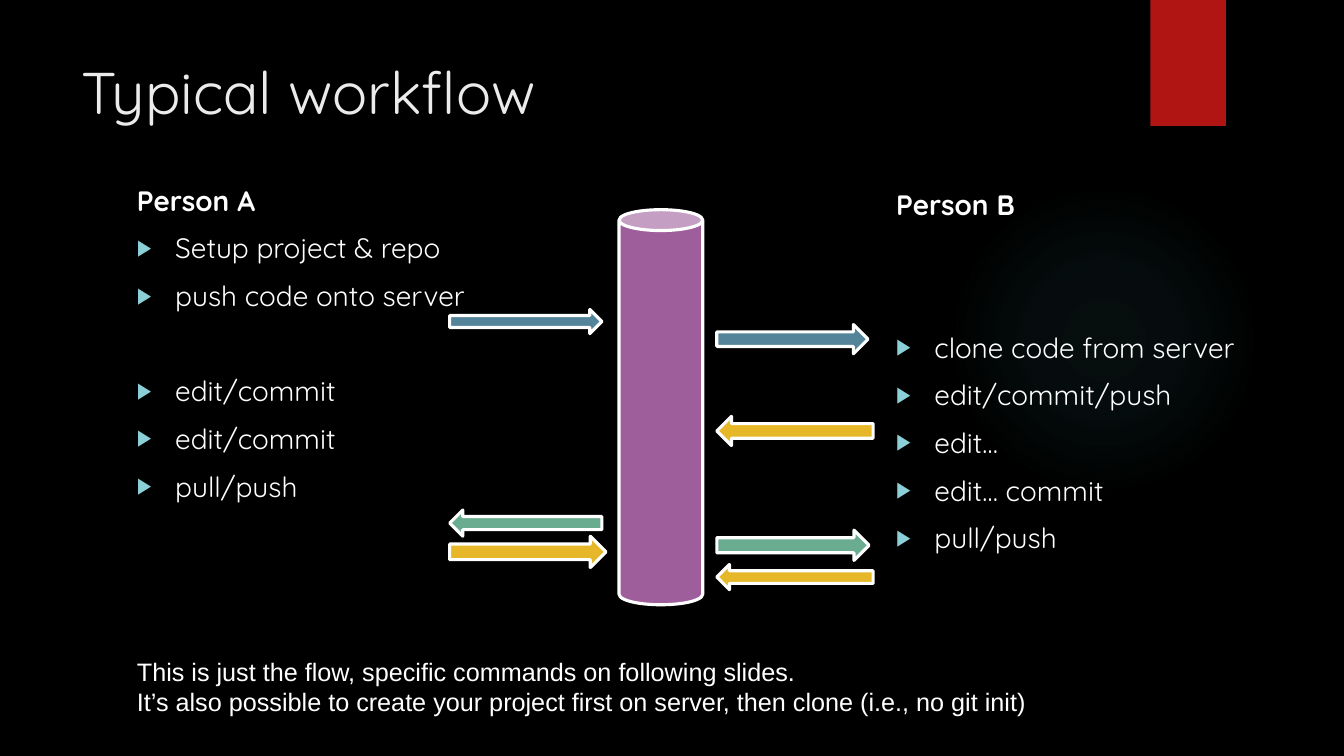
import pptx
import pptx.dml.color
import pptx.enum.shapes
import pptx.enum.text
import pptx.oxml
import pptx.oxml.ns
import pptx.util

CELL = 0.1  # inches per grid column and row
WHITE, BLUE, YELLOW, GREEN = "FFFFFF", "54849A", "E6B729", "6AAC90"
LINE_PITCH = 34  # points that one list line takes with its spacing
SHAPES = pptx.enum.shapes.MSO_SHAPE
LEFT_LANE, RIGHT_LANE = 44.6, 71.1

# text, bulleted, list lines skipped above
PERSON_A = [
    ("Person A", False, 0),
    ("Setup project & repo", True, 0),
    ("push code onto server", True, 0),
    ("edit/commit", True, 1),
    ("edit/commit", True, 0),
    ("pull/push", True, 0),
]
PERSON_B = [
    ("Person B", False, 0),
    ("clone code from server", True, 2),
    ("edit/commit/push", True, 0),
    ("edit…", True, 0),
    ("edit… commit", True, 0),
    ("pull/push", True, 0),
]
# direction, left, top, width, height, colour
ARROWS = [
    (SHAPES.RIGHT_ARROW, LEFT_LANE, 30.7, 15.1, 2.4, BLUE),
    (SHAPES.RIGHT_ARROW, LEFT_LANE, 53.2, 15.5, 3.1, YELLOW),
    (SHAPES.LEFT_ARROW, LEFT_LANE, 50.6, 15.1, 2.6, GREEN),
    (SHAPES.RIGHT_ARROW, RIGHT_LANE, 32.2, 15, 2.9, BLUE),
    (SHAPES.LEFT_ARROW, RIGHT_LANE, 41.3, 15.5, 2.9, YELLOW),
    (SHAPES.LEFT_ARROW, RIGHT_LANE, 56, 15.5, 2.5, YELLOW),
    (SHAPES.RIGHT_ARROW, RIGHT_LANE, 52.6, 15.1, 3, GREEN),
]


def colour(code):
    return pptx.dml.color.RGBColor.from_string(code)


def grid(*cells):
    return [pptx.util.Inches(cell * CELL) for cell in cells]


def add_figure(page, kind, cells, fill=None, outline=None):
    figure = page.shapes.add_shape(kind, *grid(*cells))
    figure.shadow.inherit = False
    if fill:
        figure.fill.solid()
        figure.fill.fore_color.rgb = colour(fill)
    if outline:
        figure.line.color.rgb = colour(outline)
        figure.line.width = pptx.util.Pt(2.25)
    else:
        figure.line.fill.background()
    return figure


def add_glow(page, cells):
    """Add a faint disc that fades out towards its edge."""
    glow = add_figure(page, SHAPES.OVAL, cells)
    stops = "".join(
        f'<a:gs pos="{place * 1000}"><a:srgbClr val="50B9C1">'
        f'<a:alpha val="{alpha * 1000}"/></a:srgbClr></a:gs>'
        for place, alpha in [(0, 7), (36, 6), (69, 0), (100, 0)]
    )
    gradient = pptx.oxml.parse_xml(
        f'<a:gradFill {pptx.oxml.ns.nsdecls("a")}><a:gsLst>{stops}</a:gsLst>'
        '<a:path path="circle"><a:fillToRect l="50000" t="50000" r="50000" b="50000"/>'
        "</a:path></a:gradFill>"
    )
    glow._element.spPr.insert(2, gradient)


def format_text(para, font, size, code, bold=False):
    for span in para.runs:
        span.font.name = font
        span.font.size = pptx.util.Pt(size)
        span.font.color.rgb = colour(code)
        span.font.bold = bold


def add_text_box(page, cells, lines):
    box = page.shapes.add_textbox(*grid(*cells))
    box.text_frame.word_wrap = True
    box.text_frame.text = "\n".join(lines)
    return box.text_frame.paragraphs


def add_bullet(para):
    properties = para._p.get_or_add_pPr()
    indent = pptx.util.Inches(0.38)
    properties.set("marL", str(indent))
    properties.set("indent", str(-indent))
    for part in (
        '<a:buClr {}><a:srgbClr val="8AD0D6"/></a:buClr>',
        '<a:buSzPct {} val="80000"/>',
        '<a:buFont {} typeface="Arial"/>',
        '<a:buChar {} char="▶"/>',
    ):
        properties.append(pptx.oxml.parse_xml(part.format(pptx.oxml.ns.nsdecls("a"))))


def add_steps(page, cells, steps):
    paras = add_text_box(page, cells, [text for text, _, _ in steps])
    for index, (para, (_, bulleted, skipped)) in enumerate(zip(paras, steps)):
        if bulleted:
            add_bullet(para)
        if index:
            para.space_before = pptx.util.Pt(10 + skipped * LINE_PITCH)
        format_text(para, "Quicksand", 20, WHITE, bold=not bulleted)


def set_title(page, cells, text):
    title = page.shapes.title
    title.left, title.top, title.width, title.height = grid(*cells)
    frame = title.text_frame
    frame.text = text
    frame.auto_size = pptx.enum.text.MSO_AUTO_SIZE.NONE
    frame.vertical_anchor = pptx.enum.text.MSO_ANCHOR.TOP
    frame.paragraphs[0].alignment = pptx.enum.text.PP_ALIGN.LEFT
    format_text(frame.paragraphs[0], "Quicksand", 42, "EBEBEB")


def main():
    deck = pptx.Presentation()
    deck.slide_width, deck.slide_height = grid(133.3, 75)
    page = deck.slides.add_slide(deck.slide_layouts[5])
    page.background.fill.solid()
    page.background.fill.fore_color.rgb = colour("000000")

    add_glow(page, (94.1, 18.3, 30.8, 30.8))
    add_figure(page, SHAPES.RECTANGLE, (114.1, 0, 7.5, 12.5), "B01513")
    set_title(page, (7.1, 5, 102.9, 15.3), "Typical workflow")
    add_steps(page, (12.6, 17.7, 36.7, 54), PERSON_A)
    add_steps(page, (87.9, 18.1, 37.4, 54), PERSON_B)

    add_figure(page, SHAPES.CAN, (61.4, 20.8, 8.3, 39.2), "9E5E9B", WHITE)
    for direction, left, top, width, height, fill in ARROWS:
        add_figure(page, direction, (left, top, width, height), fill, WHITE)

    remarks = add_text_box(page, (12.6, 64.6, 104.3, 7.1), [
        "This is just the flow, specific commands on following slides.",
        "It’s also possible to create your project first on server, then clone (i.e., no git init)",
    ])
    for para in remarks:
        format_text(para, "Arial", 18, WHITE)
    deck.save("out.pptx")


if __name__ == "__main__":
    main()
